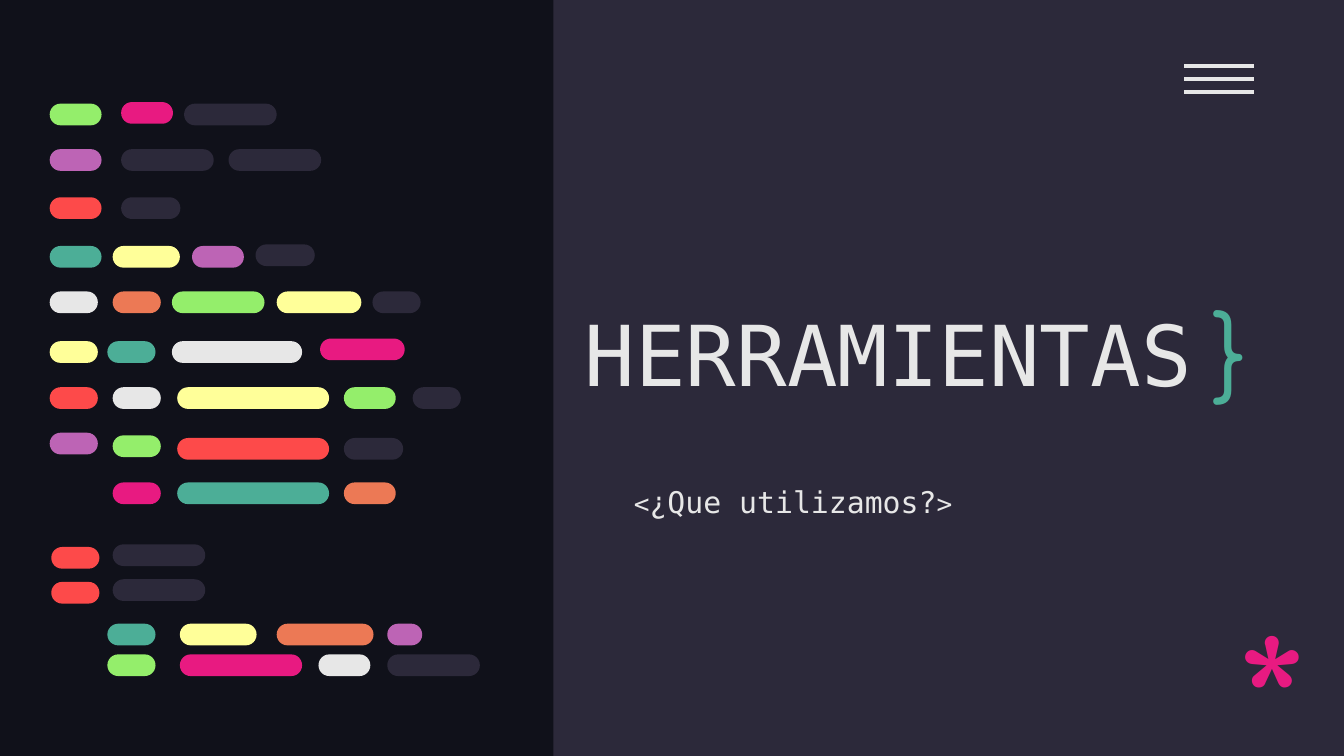
from lxml import etree
from pptx import Presentation
from pptx.dml.color import RGBColor
from pptx.enum.shapes import MSO_CONNECTOR, MSO_SHAPE
from pptx.enum.text import MSO_ANCHOR, MSO_AUTO_SIZE, PP_ALIGN
from pptx.oxml.ns import qn
from pptx.util import Cm, Pt

RECTANGLE = MSO_SHAPE.RECTANGLE
ROUNDED = MSO_SHAPE.ROUNDED_RECTANGLE
STRAIGHT = MSO_CONNECTOR.STRAIGHT
TOP, BOTTOM = MSO_ANCHOR.TOP, MSO_ANCHOR.BOTTOM
LEFT = PP_ALIGN.LEFT
NO_AUTOFIT = MSO_AUTO_SIZE.NONE

NIGHT, SLATE, WHITE = "10111A", "2C293A", "E7E7E7"
GREEN, PINK, PURPLE, RED = "94EE6B", "E81A81", "BD64B5", "FD4A4A"
TEAL, YELLOW, ORANGE = "4CAE97", "FFFF99", "EC7955"

MONO, ROUND_FONT = "DejaVu Sans Mono", "Comfortaa"
BAR_HEIGHT = 0.41

# Each code line: top, then bars as (left, width, colour[, vertical shift]), in cm
CODE_LINES = [
    (1.96, [(0.94, 0.98, GREEN), (2.29, 0.98, PINK, -0.03), (3.48, 1.75, SLATE)]),
    (2.82, [(0.94, 0.98, PURPLE), (2.29, 1.75, SLATE), (4.32, 1.75, SLATE)]),
    (3.73, [(0.94, 0.98, RED), (2.29, 1.12, SLATE)]),
    (4.65, [(0.94, 0.98, TEAL), (2.13, 1.27, YELLOW), (3.63, 0.98, PURPLE),
            (4.83, 1.12, SLATE, -0.03)]),
    (5.51, [(0.94, 0.91, WHITE), (2.13, 0.91, ORANGE), (3.25, 1.75, GREEN),
            (5.23, 1.6, YELLOW), (7.04, 0.91, SLATE)]),
    (6.45, [(0.94, 0.91, YELLOW), (2.03, 0.91, TEAL), (3.25, 2.46, WHITE),
            (6.05, 1.6, PINK, -0.05)]),
    (7.32, [(0.94, 0.91, RED), (2.13, 0.91, WHITE), (3.35, 2.87, YELLOW),
            (6.5, 0.98, GREEN), (7.8, 0.91, SLATE)]),
    (8.28, [(0.94, 0.91, PURPLE, -0.1), (2.13, 0.91, GREEN, -0.05),
            (3.35, 2.87, RED), (6.5, 1.12, SLATE)]),
    (9.12, [(2.13, 0.91, PINK), (3.35, 2.87, TEAL), (6.5, 0.98, ORANGE)]),
    (10.34, [(0.97, 0.91, RED), (2.13, 1.75, SLATE, -0.05)]),
    (11, [(0.97, 0.91, RED), (2.13, 1.75, SLATE, -0.05)]),
    (11.79, [(2.03, 0.91, TEAL), (3.4, 1.45, YELLOW), (5.23, 1.83, ORANGE),
             (7.32, 0.66, PURPLE)]),
    (12.37, [(2.03, 0.91, GREEN), (3.4, 2.31, PINK), (6.02, 0.98, WHITE),
             (7.32, 1.75, SLATE)]),
]


def rgb(colour):
    return RGBColor.from_string(colour)


def add_block(slide, preset, left, top, width, height, colour):
    block = slide.shapes.add_shape(preset, Cm(left), Cm(top), Cm(width), Cm(height))
    block.shadow.inherit = False
    block.fill.solid()
    block.fill.fore_color.rgb = rgb(colour)
    block.line.fill.background()
    return block


def add_menu_icon(slide):
    for row in range(3):
        y = Cm(1.24 + row * 0.25)
        stroke = slide.shapes.add_connector(STRAIGHT, Cm(22.38), y, Cm(23.7), y)
        stroke.line.color.rgb = rgb(WHITE)
        stroke.line.width = Pt(2.25)
        etree.SubElement(stroke._element.spPr, qn("a:effectLst"))


def add_code_lines(slide):
    for top, bars in CODE_LINES:
        for left, width, colour, *shift in bars:
            bar = add_block(slide, ROUNDED, left, top + sum(shift), width,
                            BAR_HEIGHT, colour)
            bar.adjustments[0] = 0.5


def format_frame(frame, anchor):
    frame.word_wrap = True
    frame.auto_size = NO_AUTOFIT
    frame.vertical_anchor = anchor
    frame.margin_left = frame.margin_right = Cm(0.25)
    frame.margin_top = frame.margin_bottom = Cm(0.25)


def format_paragraph(paragraph, font_name, size, colour):
    paragraph.alignment = LEFT
    paragraph.font.name = font_name
    paragraph.font.size = Pt(size) if size else None
    paragraph.font.color.rgb = rgb(colour)


def set_title(slide, text):
    title = slide.shapes.title
    title.left, title.top = Cm(10.8), Cm(2.41)
    title.width, title.height = Cm(13.56), Cm(5.46)
    title.text_frame.text = text
    format_frame(title.text_frame, BOTTOM)
    format_paragraph(title.text_frame.paragraphs[0], MONO, 45, WHITE)


def add_text_box(slide, left, top, width, height):
    box = slide.shapes.add_textbox(Cm(left), Cm(top), Cm(width), Cm(height))
    format_frame(box.text_frame, TOP)
    return box


def add_subtitle(slide):
    subtitle = add_text_box(slide, 11.73, 8.79, 11.68, 2.97)
    subtitle.fill.solid()
    subtitle.fill.fore_color.rgb = rgb(SLATE)
    paragraph = subtitle.text_frame.paragraphs[0]
    paragraph.line_spacing = 1.15
    format_paragraph(paragraph, MONO, None, WHITE)
    for text, size in (("<", 14), ("¿Que utilizamos?", 16), (">", 14)):
        run = paragraph.add_run()
        run.text = text
        run.font.size = Pt(size)


def add_symbol(slide, symbol, left, top, height, size, colour):
    box = add_text_box(slide, left, top, 1.45, height)
    box.text_frame.text = symbol
    format_paragraph(box.text_frame.paragraphs[0], ROUND_FONT, size, colour)


def main():
    presentation = Presentation()
    presentation.slide_width, presentation.slide_height = Cm(25.4), Cm(14.29)
    slide = presentation.slides.add_slide(presentation.slide_layouts.get_by_name("Title Only"))
    slide.background.fill.solid()
    slide.background.fill.fore_color.rgb = rgb(NIGHT)

    panel = add_block(slide, RECTANGLE, 10.46, 0, 14.94, 14.29, SLATE)
    slide.shapes.title._element.addprevious(panel._element)
    add_menu_icon(slide)
    set_title(slide, "HERRAMIENTAS")
    add_subtitle(slide)
    add_symbol(slide, "*", 23.14, 11.05, 2.21, 96, PINK)
    add_code_lines(slide)
    add_symbol(slide, "}", 22.66, 5.23, 2.41, 50, TEAL)
    presentation.save("out.pptx")


if __name__ == "__main__":
    main()
